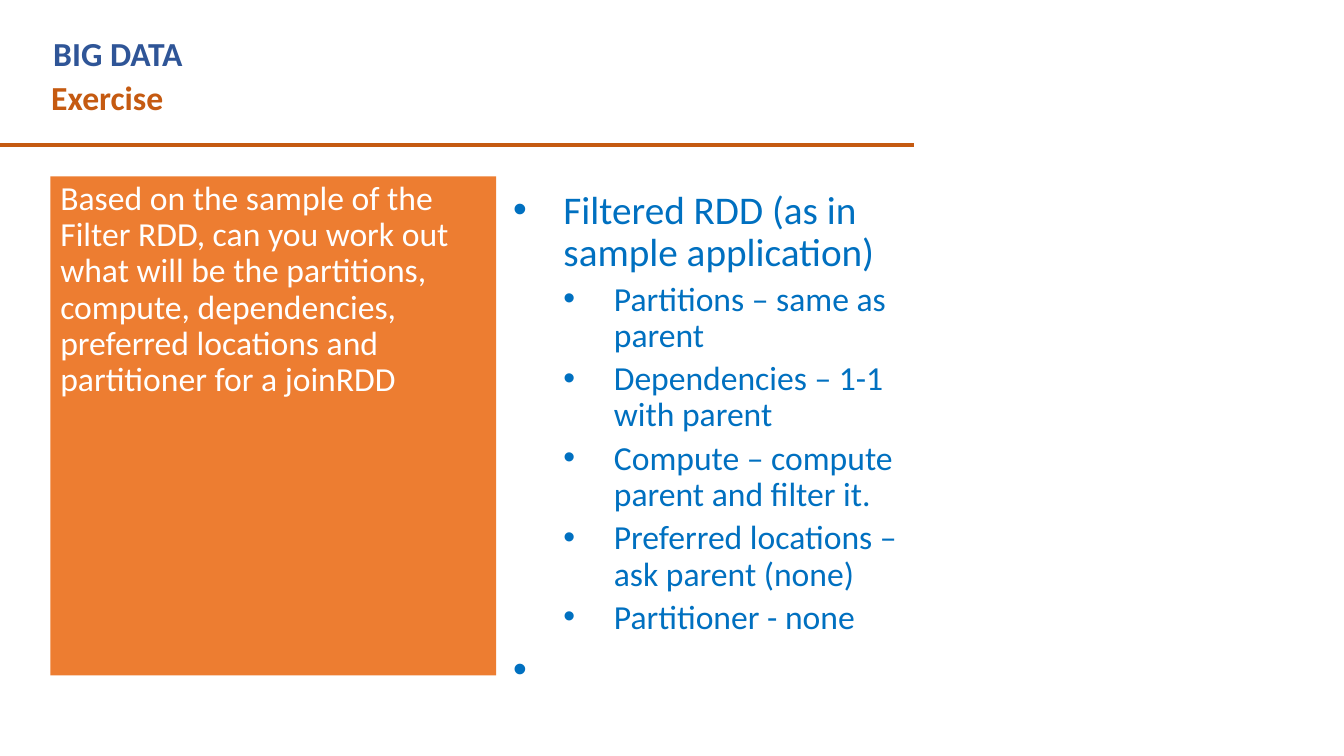
from dataclasses import dataclass

from lxml.etree import SubElement
from pptx import Presentation
from pptx.dml.color import RGBColor
from pptx.enum.shapes import MSO_CONNECTOR as Connector, MSO_SHAPE as Shape
from pptx.enum.text import MSO_ANCHOR as Anchor, PP_ALIGN as Align
from pptx.oxml.ns import qn
from pptx.util import Inches, Pt

COLORS = {
    "course": "2F5597",
    "topic": "C55A11",
    "panel": "ED7D31",
    "panel_text": "FFFFFF",
    "answer": "0070C0",
}
FONT = "Calibri"
PANEL_WIDTH, PANEL_HEIGHT = 4.42, 4.95


@dataclass
class Heading:
    text: str
    left: float
    top: float
    width: float
    color: str


@dataclass
class Bullet:
    text: str
    level: int = 0
    size: int = 28
    margin: float = 0.5
    hanging: float = 0.5
    space_before: int = 10


def detail(text: str) -> Bullet:
    """A second-level bullet."""
    return Bullet(text, level=1, size=24, margin=1, space_before=5)


HEADINGS = [
    Heading("Exercise", 0.41, 0.71, 8.75, "topic"),
    Heading("BIG DATA", 0.43, 0.28, 8.2, "course"),
]
QUESTION = (
    "Based on the sample of the Filter RDD, can you work out what will be "
    "the partitions, compute, dependencies, preferred locations and "
    "partitioner for a joinRDD"
)
ANSWERS = [
    Bullet("Filtered RDD (as in sample application)"),
    detail("Partitions – same as parent"),
    detail("Dependencies – 1-1 with parent"),
    detail("Compute – compute parent and filter it."),
    detail("Preferred locations – ask parent (none)"),
    detail("Partitioner - none"),
    Bullet("\t", margin=0.25, hanging=0.25),
]


def rgb(name: str) -> RGBColor:
    return RGBColor.from_string(COLORS[name])


def style(para, size: int, color: str, bold: bool = False) -> None:
    font = para.font
    font.name, font.size, font.bold = FONT, Pt(size), bold
    font.color.rgb = rgb(color)


def add_heading(page, heading: Heading) -> None:
    box = page.shapes.add_textbox(
        Inches(heading.left), Inches(heading.top), Inches(heading.width), Inches(0.5)
    )
    box.text_frame.word_wrap = True
    para = box.text_frame.paragraphs[0]
    para.text = heading.text
    style(para, 24, heading.color, bold=True)


def add_rule(page) -> None:
    rule = page.shapes.add_connector(
        Connector.STRAIGHT, Inches(-0.01), Inches(1.44), Inches(9.07), Inches(1.44)
    )
    rule.line.color.rgb = rgb("topic")
    rule.line.width = Pt(3)
    SubElement(rule._element.spPr, qn("a:effectLst"))


def add_answers(page, bullets: list[Bullet]) -> None:
    box = page.shapes.add_textbox(
        Inches(4.99), Inches(1.84), Inches(PANEL_WIDTH), Inches(PANEL_HEIGHT)
    )
    frame = box.text_frame
    frame.word_wrap = True
    for index, bullet in enumerate(bullets):
        para = frame.add_paragraph() if index else frame.paragraphs[0]
        para.add_run().text = bullet.text
        para.level = bullet.level
        para.line_spacing = 0.9
        para.space_before = Pt(bullet.space_before if index else 0)
        properties = para._p.get_or_add_pPr()
        properties.set("marL", str(Inches(bullet.margin)))
        properties.set("indent", str(-Inches(bullet.hanging)))
        SubElement(properties, qn("a:buFont"), typeface="Arial")
        SubElement(properties, qn("a:buChar"), char="•")
        style(para, bullet.size, "answer")


def add_question(page, question: str) -> None:
    panel = page.shapes.add_shape(
        Shape.RECTANGLE, Inches(0.5), Inches(1.75), Inches(PANEL_WIDTH), Inches(PANEL_HEIGHT)
    )
    panel.shadow.inherit = False
    panel.fill.solid()
    panel.fill.fore_color.rgb = rgb("panel")
    panel.line.fill.background()
    frame = panel.text_frame
    frame.word_wrap = True
    frame.vertical_anchor = Anchor.TOP
    para = frame.paragraphs[0]
    para.text = question
    para.alignment = Align.LEFT
    para.line_spacing = 0.9
    style(para, 24, "panel_text")


def main() -> None:
    deck = Presentation()
    deck.slide_width, deck.slide_height = Inches(13.33), Inches(7.5)
    page = deck.slides.add_slide(deck.slide_layouts[6])
    for heading in HEADINGS:
        add_heading(page, heading)
    add_rule(page)
    add_answers(page, ANSWERS)
    add_question(page, QUESTION)
    deck.save("out.pptx")


if __name__ == "__main__":
    main()
